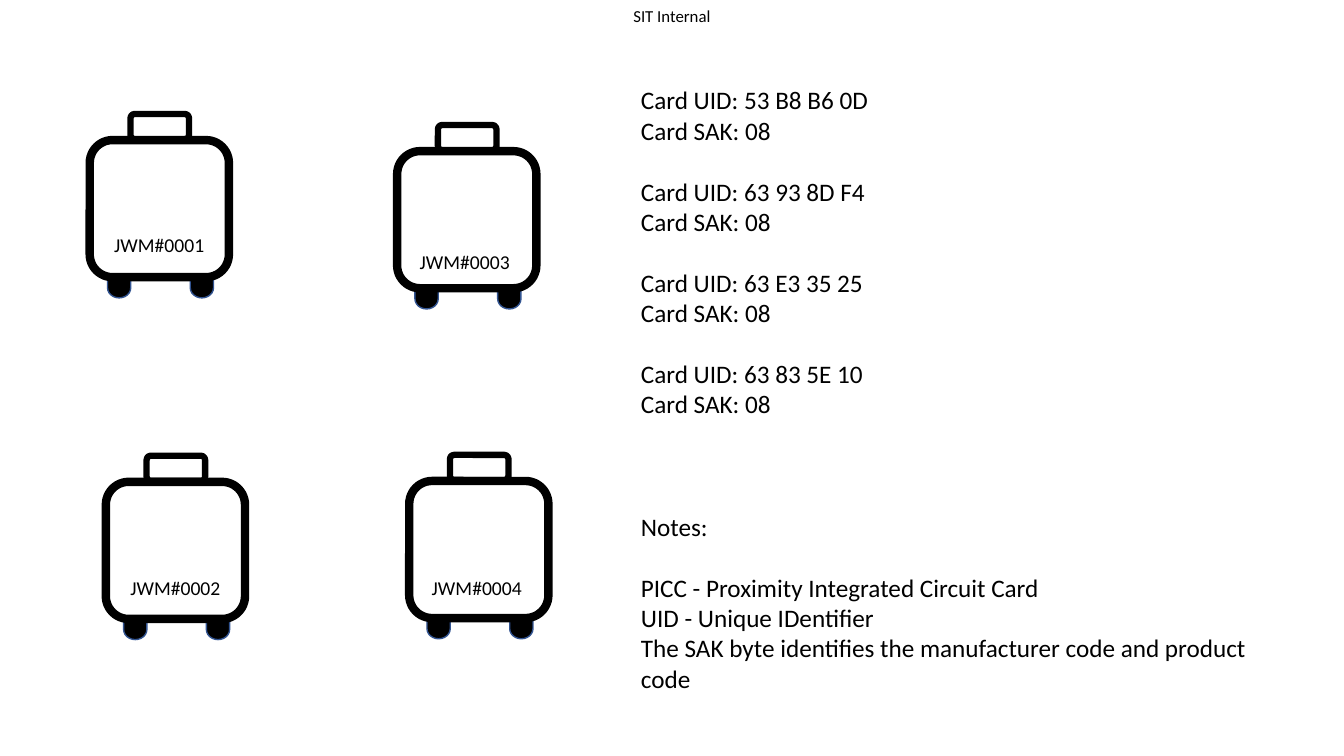
from pptx import Presentation
from pptx.dml.color import RGBColor as Rgb
from pptx.enum.shapes import MSO_SHAPE as Kind
from pptx.enum.text import MSO_ANCHOR as Anchor, PP_ALIGN as Align
from pptx.util import Pt

INK = {"black": "000000", "navy": "325491"}
FACE = {"name": "Calibri", "bold": False}
LINE = 22

BAGS = [
    ("JWM#0001", 64.1, 100.1, 7.2, 62.6),
    ("JWM#0002", 75.6, 344.2, 7.2, 63.4),
    ("JWM#0003", 283.7, 108, 5.8, 67),
    ("JWM#0004", 292.3, 343.6, 5.8, 64.6),
]
CARDS = ["53 B8 B6 0D", "63 93 8D F4", "63 E3 35 25", "63 83 5E 10"]
NOTES = [
    ("Notes:", 3),
    ("PICC - Proximity Integrated Circuit Card", 1),
    ("UID - Unique IDentifier", 0),
    ("The SAK byte identifies the manufacturer code and product code", 0),
]


def write(shapes, box, rows, size, align=Align.LEFT, pad=None, anchor=Anchor.TOP):
    frame = shapes.add_textbox(*map(Pt, box)).text_frame
    frame.word_wrap = True
    frame.vertical_anchor = anchor
    if pad is not None:
        for side in ("left", "top", "right", "bottom"):
            setattr(frame, "margin_" + side, Pt(pad))
    for i, (text, gap) in enumerate(rows):
        para = frame.paragraphs[0] if i == 0 else frame.add_paragraph()
        para.alignment = align
        if gap:
            para.space_before = Pt(gap * LINE)
        run = para.add_run()
        run.text = text
        for key, value in FACE.items():
            setattr(run.font, key, value)
        run.font.size = Pt(size)
        run.font.color.rgb = Rgb.from_string(INK["black"])


def draw(shapes, kind, box, width, edge="black", fill=None, turn=0):
    part = shapes.add_shape(kind, *map(Pt, box))
    part.shadow.inherit = False
    part.rotation = turn
    part.line.width = Pt(width)
    part.line.color.rgb = Rgb.from_string(INK[edge])
    if fill:
        part.fill.solid()
        part.fill.fore_color.rgb = Rgb.from_string(INK[fill])
    else:
        part.fill.background()


def bag(slide, box):
    x, y, w, h = box
    parts = slide.shapes.add_group_shape().shapes
    for shift in (72.9, 13.8):
        draw(parts, Kind.FLOWCHART_DELAY, (x + shift, y + 97.2, 14.4, 16.6),
             1, "navy", "black", 90)
    draw(parts, Kind.ROUNDED_RECTANGLE, (x + 29.1, y - 18.7, 41.8, 18), 4.5)
    draw(parts, Kind.ROUNDED_RECTANGLE, (x, y, w, h), 6)


def cards(slide, box):
    rows = []
    for i, code in enumerate(CARDS):
        rows += [("Card UID: " + code, min(i, 1)), ("Card SAK: 08", 0)]
    write(slide.shapes, box, rows + NOTES, 18)


def main():
    deck = Presentation()
    deck.slide_width, deck.slide_height = Pt(960), Pt(540)
    slide = deck.slides.add_slide(deck.slide_layouts[6])
    write(slide.shapes, (440, 0, 80, 23), [("SIT Internal", 0)], 12,
          Align.CENTER, 0, Anchor.MIDDLE)
    for name, x, y, dx, dy in BAGS:
        bag(slide, (x, y, 99.4, 97.9))
        write(slide.shapes, (x + dx, y + dy, 85, 24.5), [(name, 0)], 14, Align.CENTER)
    cards(slide, (450.7, 56.9, 480.2, 443.5))
    deck.save("out.pptx")


if __name__ == "__main__":
    main()
